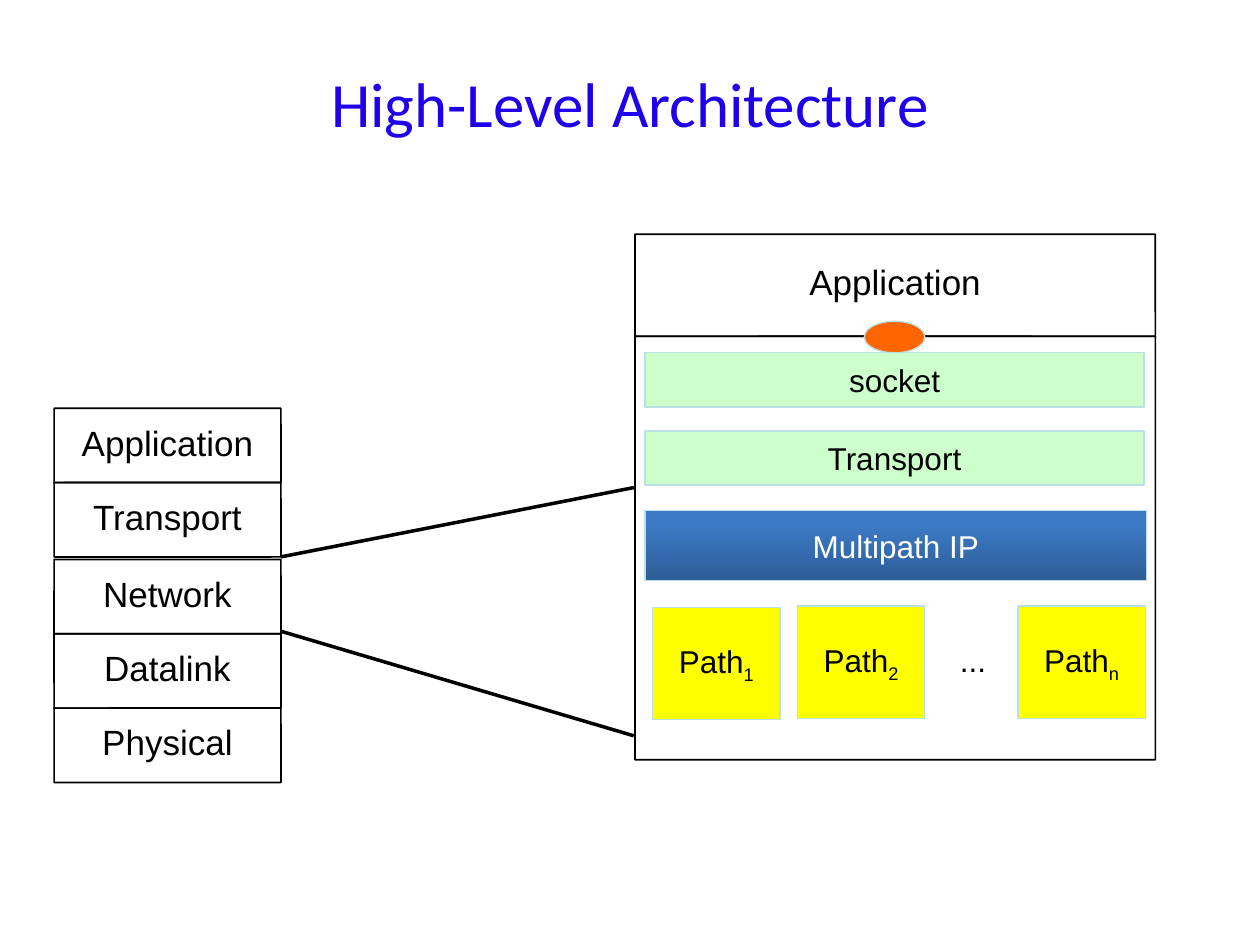
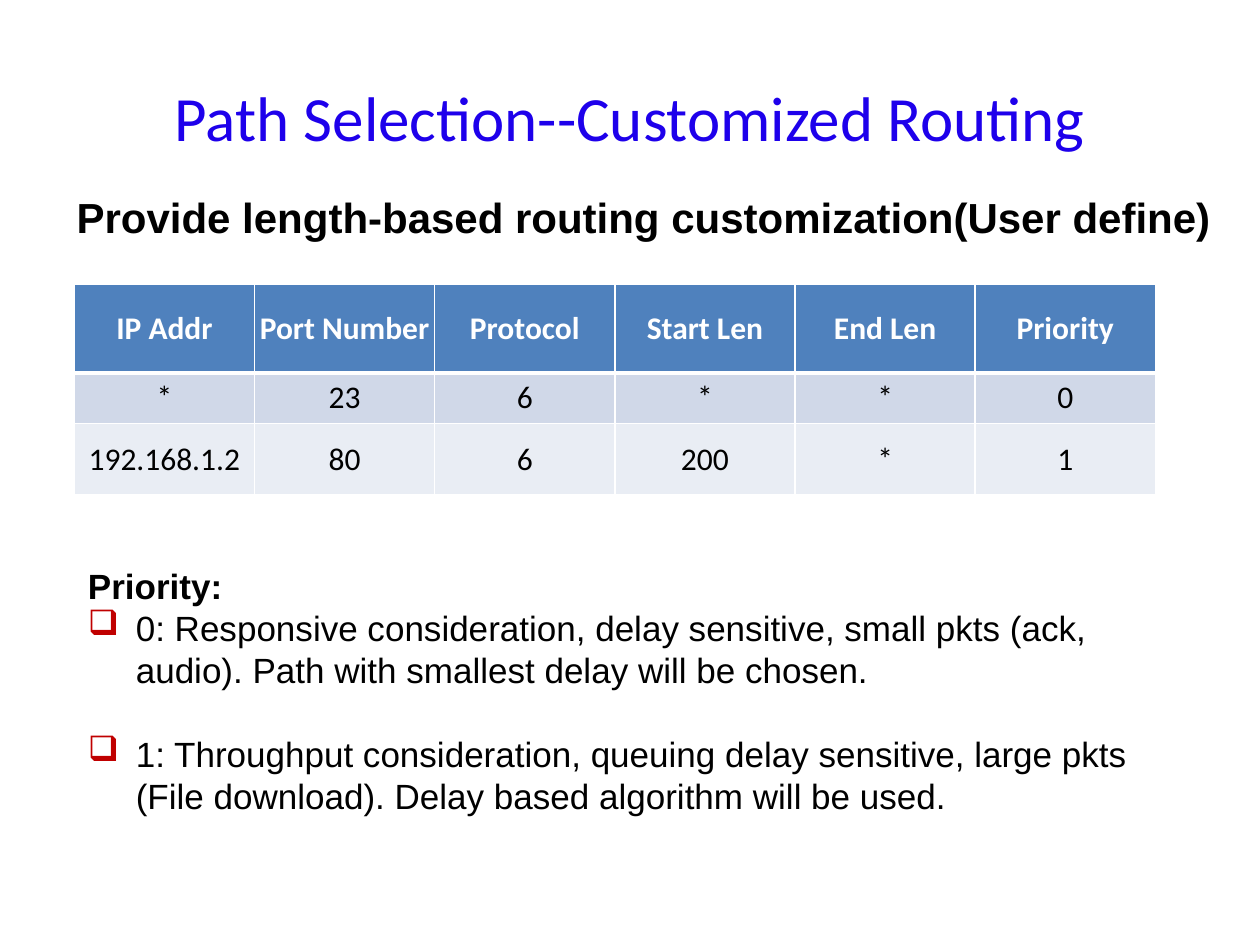
from lxml.etree import SubElement
from pptx import Presentation
from pptx.dml.color import RGBColor
from pptx.enum.shapes import MSO_CONNECTOR as CONN, MSO_SHAPE as SHAPE
from pptx.enum.text import MSO_ANCHOR as ANCHOR, MSO_AUTO_SIZE as AUTO, PP_ALIGN as ALIGN
from pptx.oxml.ns import qn
from pptx.util import Inches, Pt

BLACK = RGBColor(0x00, 0x00, 0x00)
WHITE = RGBColor(0xFF, 0xFF, 0xFF)
TITLE_BLUE = RGBColor(0x1E, 0x00, 0xEB)
EDGE = RGBColor(0xBB, 0xE0, 0xE3)
GREEN = RGBColor(0xCC, 0xFF, 0xCC)
YELLOW = RGBColor(0xFF, 0xFF, 0x00)
ORANGE = RGBColor(0xFF, 0x66, 0x00)
IP_DARK = RGBColor(0x2D, 0x5D, 0x97)
IP_LIGHT = RGBColor(0x3C, 0x7A, 0xC5)
HEADER = RGBColor(0x4F, 0x81, 0xBD)
BAND_DARK = RGBColor(0xD0, 0xD8, 0xE8)
BAND_LIGHT = RGBColor(0xE9, 0xED, 0xF4)
BULLET_RED = RGBColor(0xC0, 0x00, 0x00)

BODY_FONT = "Arial"
TITLE_FONT = "Calibri"
LAYER_H = 0.59


def add_run(p, text, size, color=BLACK, font=BODY_FONT, bold=False):
    r = p.add_run()
    r.text = text
    r.font.size = Pt(size)
    r.font.name = font
    r.font.bold = bold
    r.font.color.rgb = color
    return r


def set_insets(tf, x, y):
    tf.margin_left = tf.margin_right = Inches(x)
    tf.margin_top = tf.margin_bottom = Inches(y)


def add_titled_slide(prs, title, top):
    s = prs.slides.add_slide(prs.slide_layouts[5])
    sp = s.shapes.title
    sp.left, sp.top, sp.width, sp.height = (Inches(v) for v in (0.5, top, 9, 1.25))
    tf = sp.text_frame
    tf.auto_size = AUTO.NONE
    tf.vertical_anchor = ANCHOR.MIDDLE
    p = tf.paragraphs[0]
    p.alignment = ALIGN.CENTER
    add_run(p, title, 36, TITLE_BLUE, TITLE_FONT)
    return s


def add_box(s, kind, x, y, w, h, fill, line, line_width):
    sp = s.shapes.add_shape(kind, Inches(x), Inches(y), Inches(w), Inches(h))
    sp.shadow.inherit = False
    if fill is None:
        sp.fill.background()
    else:
        sp.fill.solid()
        sp.fill.fore_color.rgb = fill
    sp.line.color.rgb = line
    sp.line.width = Pt(line_width)
    return sp


def centre_text(sp, text, size, color=BLACK, sub=""):
    tf = sp.text_frame
    tf.word_wrap = True
    tf.vertical_anchor = ANCHOR.MIDDLE
    p = tf.paragraphs[0]
    p.alignment = ALIGN.CENTER
    add_run(p, text, size, color)
    if sub:
        r = add_run(p, sub, size, color)
        r.font._element.set("baseline", "-25000")
    return p


def add_layer(s, x, y, w, h, text=""):
    sp = add_box(s, SHAPE.ROUNDED_RECTANGLE, x, y, w, h, None, BLACK, 1)
    sp.adjustments[0] = 0.001
    set_insets(sp.text_frame, 0, 0)
    if text:
        centre_text(sp, text, 20).line_spacing = 0.84


def add_block(s, x, y, w, h, fill, text, color=BLACK, sub=""):
    sp = add_box(s, SHAPE.RECTANGLE, x, y, w, h, fill, EDGE, 0.75)
    centre_text(sp, text, 18, color, sub)
    return sp


def add_line(s, x1, y1, x2, y2, width):
    line = s.shapes.add_connector(CONN.STRAIGHT, Inches(x1), Inches(y1), Inches(x2), Inches(y2))
    line.line.color.rgb = BLACK
    line.line.width = Pt(width)
    SubElement(line._element.spPr, qn("a:effectLst"))


def add_text_box(s, x, y, w, h, inset):
    tf = s.shapes.add_textbox(Inches(x), Inches(y), Inches(w), Inches(h)).text_frame
    tf.word_wrap = True
    set_insets(tf, 0.1, inset)
    return tf


def add_protocol_stack(s, x, y, w):
    lower = y + 2 * LAYER_H + 0.02
    for top, names in ((y, ("Application", "Transport")),
                       (lower, ("Network", "Datalink", "Physical"))):
        for i, name in enumerate(names):
            add_layer(s, x, top + i * LAYER_H, w, LAYER_H, name)
    for side in (x, x + w):
        add_line(s, side, lower + 0.98, side, lower + 0.25, 1)


def add_multipath_host(s, x, y, w):
    app_h = 0.81
    add_layer(s, x, y + app_h, w, 3.36)
    ip = add_block(s, x + 0.08, y + 2.19, 3.98, 0.56, None, "Multipath IP", WHITE)
    ip.fill.gradient()
    ip.fill.gradient_angle = 90
    dark, light = ip.fill.gradient_stops
    dark.color.rgb, light.color.rgb = IP_DARK, IP_LIGHT
    light.position = 0.8
    for dy, name in ((0.94, "socket"), (1.56, "Transport")):
        add_block(s, x + 0.08, y + dy, 3.96, 0.43, GREEN, name)
    for dx, dy, sub in ((0.14, 2.96, "1"), (1.29, 2.95, "2"), (3.04, 2.95, "n")):
        add_block(s, x + dx, y + dy, 1.01, 0.89, YELLOW, "Path", sub=sub)
    dots = add_text_box(s, x + 2.48, y + 3.18, 0.46, 0.5, 0.05)
    add_run(dots.paragraphs[0], "...", 18)
    add_layer(s, x, y, w, app_h, "Application")
    add_box(s, SHAPE.OVAL, x + 1.82, y + 0.69, 0.48, 0.25, ORANGE, EDGE, 0.75)


def build_architecture(prs):
    s = add_titled_slide(prs, "High-Level Architecture", 0.19)
    add_protocol_stack(s, 0.43, 3.24, 1.8)
    add_multipath_host(s, 5.04, 1.86, 4.13)
    add_line(s, 2.23, 4.42, 5.03, 3.87, 2)
    add_line(s, 2.23, 5.01, 5.03, 5.84, 2)


def set_borders(cell, top, bottom):
    tc_pr = cell._tc.get_or_add_tcPr()
    for side, width in (("L", 1), ("R", 1), ("T", top), ("B", bottom)):
        ln = SubElement(tc_pr, qn(f"a:ln{side}"), w=str(Pt(width)))
        fill = SubElement(ln, qn("a:solidFill"))
        SubElement(fill, qn("a:srgbClr"), val=str(WHITE))


def add_routing_table(s, x, y, col_w):
    rows = (
        (0.7, HEADER, 1, 3, ("IP Addr", "Port Number", "Protocol", "Start Len", "End Len", "Priority")),
        (0.4, BAND_DARK, 3, 1, ("*", "23", "6", "*", "*", "0")),
        (0.57, BAND_LIGHT, 1, 1, ("192.168.1.2", "80", "6", "200", "*", "1")),
    )
    cols = len(rows[0][-1])
    height = sum(row[0] for row in rows)
    table = s.shapes.add_table(len(rows), cols, Inches(x), Inches(y),
                               Inches(cols * col_w), Inches(height)).table
    for col in table.columns:
        col.width = Inches(col_w)
    for i, (h, fill, top, bottom, values) in enumerate(rows):
        table.rows[i].height = Inches(h)
        is_header = i == 0
        for j, value in enumerate(values):
            cell = table.cell(i, j)
            set_borders(cell, top, bottom)
            cell.fill.solid()
            cell.fill.fore_color.rgb = fill
            set_insets(cell, 0, 0)
            cell.vertical_anchor = ANCHOR.MIDDLE
            p = cell.text_frame.paragraphs[0]
            p.alignment = ALIGN.CENTER
            add_run(p, value, 18, WHITE if is_header else BLACK, TITLE_FONT, is_header)


def set_indent(p, left, first):
    p_pr = p._p.get_or_add_pPr()
    p_pr.set("marL", str(Inches(left)))
    p_pr.set("indent", str(Inches(first)))
    return p_pr


def add_priority_notes(s, x, y, w, h):
    tf = add_text_box(s, x, y, w, h, 0.1)
    p = tf.paragraphs[0]
    set_indent(p, 0.38, -0.38)
    add_run(p, "Priority:", 20, bold=True)
    notes = (
        (0, "0: Responsive consideration, delay sensitive, small pkts (ack, audio). "
            "Path with smallest delay will be chosen."),
        (24, "1: Throughput consideration, queuing delay sensitive, large pkts "
             "(File download). Delay based algorithm will be used."),
    )
    for gap, text in notes:
        p = tf.add_paragraph()
        p_pr = set_indent(p, 0.38, -0.38)
        color = SubElement(p_pr, qn("a:buClr"))
        SubElement(color, qn("a:srgbClr"), val=str(BULLET_RED))
        SubElement(p_pr, qn("a:buChar"), char="❑")
        p.space_before = Pt(gap)
        add_run(p, text, 20)


def build_path_selection(prs):
    s = add_titled_slide(prs, "Path Selection--Customized Routing", 0.3)
    p = add_text_box(s, 0.39, 1.42, 9.5, 0.52, 0.1).paragraphs[0]
    set_indent(p, 0.12, 0)
    add_run(p, "Provide length-based routing customization(User define)", 24, bold=True)
    add_routing_table(s, 0.59, 2.26, 1.43)
    add_priority_notes(s, 0.6, 4.38, 9, 1.28)


def main():
    prs = Presentation()
    prs.slide_width, prs.slide_height = Inches(10), Inches(7.5)
    build_architecture(prs)
    build_path_selection(prs)
    prs.save("out.pptx")


if __name__ == "__main__":
    main()
